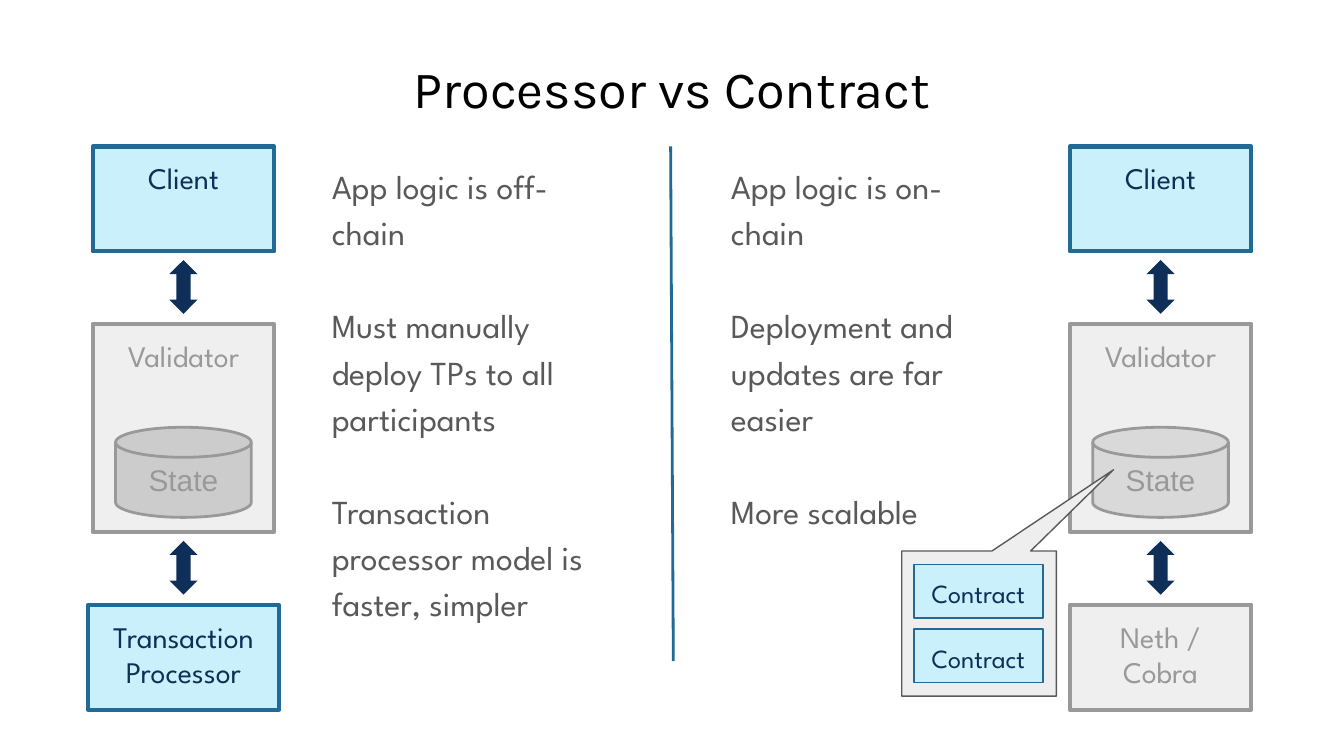
from dataclasses import dataclass

from lxml.etree import SubElement
from pptx import Presentation
from pptx.dml.color import RGBColor
from pptx.enum.shapes import MSO_CONNECTOR, MSO_SHAPE as Shape
from pptx.enum.text import MSO_ANCHOR as Anchor, MSO_AUTO_SIZE as AutoSize, PP_ALIGN as Align
from pptx.oxml.ns import qn
from pptx.util import Inches, Pt

COLORS = {
    "black": "000000", "body": "595959", "navy": "0F2F58", "blue": "216A95",
    "sky": "CAF0FC", "gray": "999999", "pale": "EFEFEF", "callout": "EEEEEE",
    "disk_left": "CCCCCC", "disk_right": "D9D9D9",
}
SPARTAN = "League Spartan"
SLIDE_W = 10
SLIDE_H = SLIDE_W * 9 / 16
TOP = 1.09
BOX_W = 1.35
BODY_LINE = 24.9  # height in points of one line of body text


@dataclass(frozen=True)
class Style:
    fill: str
    line: str
    text: str
    weight: float = 2.25
    size: int = 16
    font: str = SPARTAN
    anchor: Anchor = Anchor.TOP


@dataclass(frozen=True)
class Stack:
    left: float
    bottom_label: str
    bottom_width: float
    bottom_style: Style
    disk_fill: str


@dataclass(frozen=True)
class Notes:
    left: float
    height: float
    lines: tuple[str, ...]


ACTIVE = Style("sky", "blue", "navy")
MUTED = Style("pale", "gray", "gray")
CONTRACT = Style("sky", "blue", "navy", weight=0.75, size=14)

STACKS = (
    Stack(0.69, "Transaction Processor", 1.42, ACTIVE, "disk_left"),
    Stack(7.96, "Neth / Cobra", BOX_W, MUTED, "disk_right"),
)
NOTES = (
    Notes(2.37, 4.19, ("App logic is off-chain",
                       "Must manually deploy TPs to all participants",
                       "Transaction processor model is faster, simpler")),
    Notes(5.34, 3.48, ("App logic is on-chain",
                       "Deployment and updates are far easier",
                       "More scalable")),
)


def rgb(name: str) -> RGBColor:
    return RGBColor.from_string(COLORS[name])


def set_text(s, lines: tuple[str, ...], font: str, size: int, color: str,
             align: Align, anchor: Anchor = Anchor.TOP) -> None:
    tf = s.text_frame
    tf.word_wrap = True
    tf.auto_size = AutoSize.NONE
    tf.vertical_anchor = anchor
    tf.margin_left = tf.margin_right = tf.margin_top = tf.margin_bottom = Inches(0.1)
    tf.text = "\n".join(lines)
    for p in tf.paragraphs:
        p.alignment = align
        for r in p.runs:
            r.font.name = font
            r.font.size = Pt(size)
            r.font.color.rgb = rgb(color)


def add_plain(slide, kind: Shape, left: float, top: float, width: float, height: float,
              fill: str, line: str | None = None, weight: float = 0):
    """Add a filled shape without shadow, outlined only if a line colour is given."""
    s = slide.shapes.add_shape(kind, Inches(left), Inches(top), Inches(width), Inches(height))
    s.shadow.inherit = False
    s.fill.solid()
    s.fill.fore_color.rgb = rgb(fill)
    if line:
        s.line.color.rgb = rgb(line)
        s.line.width = Pt(weight)
    else:
        s.line.fill.background()
    return s


def add_box(slide, label: str, left: float, top: float, width: float, height: float,
            style: Style, kind: Shape = Shape.FLOWCHART_PROCESS) -> None:
    s = add_plain(slide, kind, left, top, width, height, style.fill, style.line, style.weight)
    set_text(s, (label,), style.font, style.size, style.text, Align.CENTER, style.anchor)


def add_stack(slide, stack: Stack) -> None:
    """Draw client, validator with its state, and bottom box, joined by arrows."""
    center = stack.left + BOX_W / 2
    disk = Style(stack.disk_fill, "gray", "gray", weight=1.5, font="Arial", anchor=Anchor.MIDDLE)
    add_box(slide, "Validator", stack.left, 2.41, BOX_W, 1.55, MUTED)
    add_box(slide, "State", stack.left + 0.17, 3.18, 1.01, 0.67, disk,
            Shape.FLOWCHART_MAGNETIC_DISK)
    add_box(slide, stack.bottom_label, center - stack.bottom_width / 2, 4.5,
            stack.bottom_width, 0.78, stack.bottom_style)
    add_box(slide, "Client", stack.left, TOP, BOX_W, 0.78, ACTIVE)
    for top in (2.03, 4.12):
        arrow = add_plain(slide, Shape.LEFT_RIGHT_ARROW, center - 0.2, top, 0.4, 0.21, "navy")
        arrow.rotation = 90


def add_notes(slide, notes: Notes) -> None:
    s = slide.shapes.add_textbox(Inches(notes.left), Inches(TOP), Inches(2.28), Inches(notes.height))
    set_text(s, notes.lines, SPARTAN, 18, "body", Align.LEFT)
    for i, p in enumerate(s.text_frame.paragraphs):
        p.line_spacing = 1.15
        p.space_before = Pt(BODY_LINE if i else 0)


def add_contracts(slide) -> None:
    callout = add_plain(slide, Shape.RECTANGULAR_CALLOUT, 6.71, 4.1, 1.15, 1.08,
                        "callout", "body", 0.75)
    callout.adjustments[0] = 0.87
    callout.adjustments[1] = -1.06
    for top in (4.2, 4.68):
        add_box(slide, "Contract", 6.8, top, 0.96, 0.4, CONTRACT)


def add_divider(slide) -> None:
    line = slide.shapes.add_connector(MSO_CONNECTOR.STRAIGHT, Inches(4.99), Inches(TOP),
                                      Inches(5.01), Inches(4.92))
    line.line.color.rgb = rgb("blue")
    line.line.width = Pt(1.5)
    SubElement(line._element.spPr, qn("a:effectLst"))


def add_title(slide, text: str) -> None:
    s = slide.shapes.title
    s.left, s.top, s.width, s.height = (Inches(v) for v in (0.34, 0.32, 9.32, 0.63))
    set_text(s, (text,), "Karla", 28, "black", Align.CENTER)


def main() -> None:
    prs = Presentation()
    prs.slide_width, prs.slide_height = Inches(SLIDE_W), Inches(SLIDE_H)
    slide = prs.slides.add_slide(prs.slide_layouts[5])
    add_title(slide, "Processor vs Contract")
    for stack in STACKS:
        add_stack(slide, stack)
    for notes in NOTES:
        add_notes(slide, notes)
    add_contracts(slide)
    add_divider(slide)
    prs.save("out.pptx")


if __name__ == "__main__":
    main()
